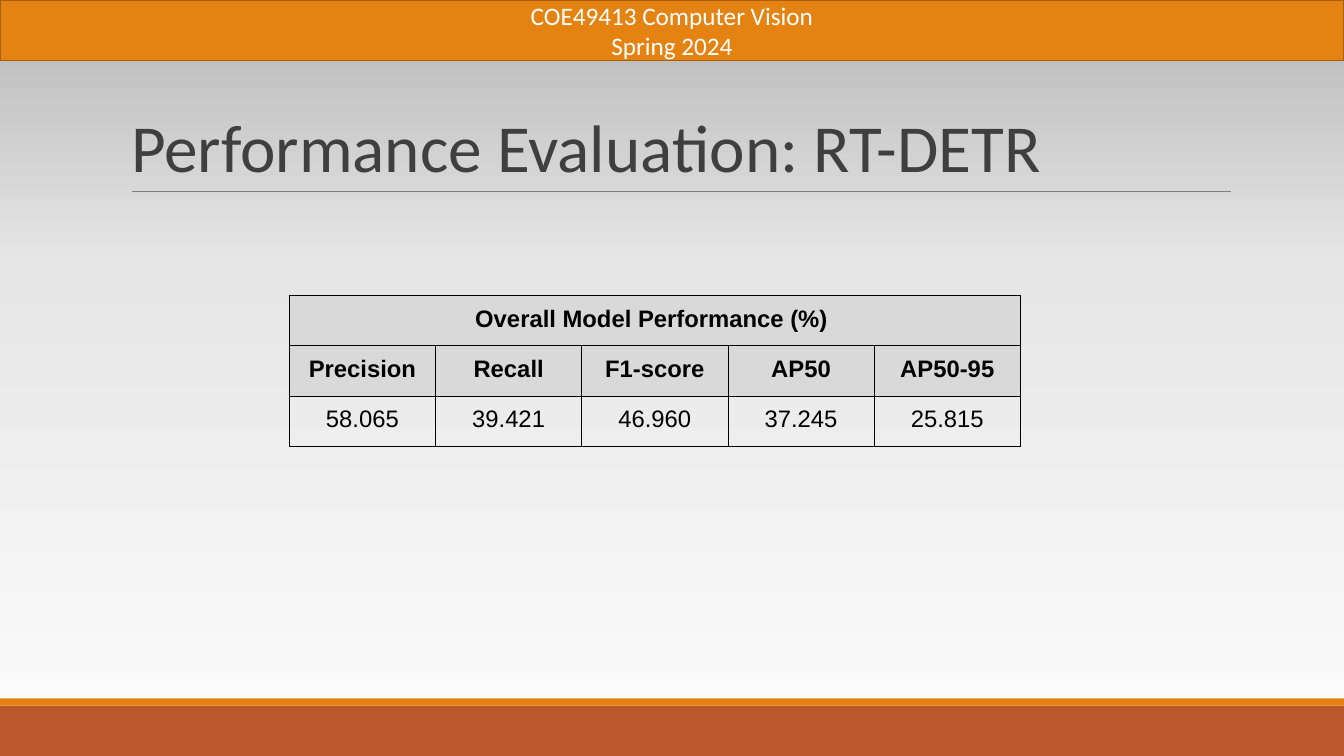
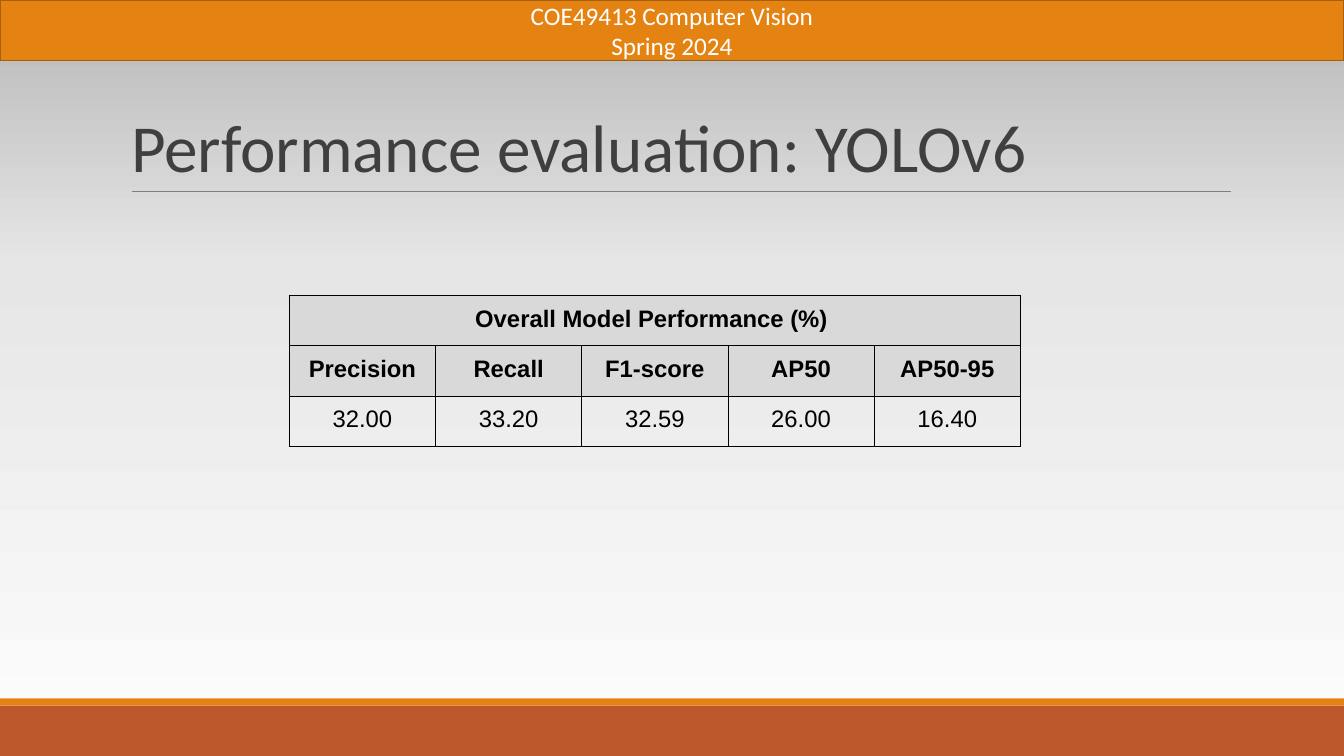
from lxml import etree
from pptx import Presentation
from pptx.dml.color import RGBColor
from pptx.enum.shapes import MSO_CONNECTOR, MSO_SHAPE
from pptx.enum.text import MSO_ANCHOR, MSO_AUTO_SIZE, PP_ALIGN
from pptx.oxml.ns import qn
from pptx.util import Inches, Pt

RECTANGLE = MSO_SHAPE.RECTANGLE
STRAIGHT = MSO_CONNECTOR.STRAIGHT
CENTER, LEFT = PP_ALIGN.CENTER, PP_ALIGN.LEFT
MIDDLE, BOTTOM = MSO_ANCHOR.MIDDLE, MSO_ANCHOR.BOTTOM
NO_AUTOFIT = MSO_AUTO_SIZE.NONE

ORANGE, DARK_ORANGE, RUST = "E48312", "A65F0D", "BD582C"
WHITE, BLACK, HEADER_GRAY = "FFFFFF", "000000", "D9D9D9"
TITLE_GRAY, RULE_GRAY = "3F3F3F", "7F7F7F"
BACKGROUND_STOPS = [(0, "FDFDFD"), (65, "E6E6E6"), (100, "B6B6B6")]
HEADING_FONT, TABLE_FONT = "Calibri", "Arial"
SLIDE_WIDTH, SLIDE_HEIGHT = 13.33, 7.5

COURSE_LINES = ["COE49413 Computer Vision", "Spring 2024"]
TABLE_TITLE = "Overall Model Performance (%) "
METRICS = ["Precision", "Recall", "F1-score", "AP50", "AP50-95"]
RESULTS = [
    ("Performance Evaluation: RT-DETR",
     ["58.065", "39.421", "46.960", "37.245", "25.815"]),
    ("Performance evaluation: YOLOv6",
     ["32.00", "33.20", "32.59", "26.00", "16.40"]),
]


def color(hex_string):
    return RGBColor.from_string(hex_string)


def add_run(paragraph, text, font, size, hex_string, bold=False, align=CENTER):
    paragraph.alignment = align
    run = paragraph.add_run()
    run.text = text
    run.font.name = font
    run.font.size = Pt(size)
    run.font.bold = bold
    run.font.color.rgb = color(hex_string)


def set_background(layout):
    layout.background.fill.gradient()
    gradient = layout.element.find(".//" + qn("a:gradFill"))
    for child in list(gradient):
        gradient.remove(child)
    stops = etree.SubElement(gradient, qn("a:gsLst"))
    for percent, hex_string in BACKGROUND_STOPS:
        stop = etree.SubElement(stops, qn("a:gs"), pos=str(percent * 1000))
        etree.SubElement(stop, qn("a:srgbClr"), val=hex_string)
    etree.SubElement(gradient, qn("a:lin"), ang="16200000", scaled="0")


def add_band(slide, top, height, fill, line=None):
    band = slide.shapes.add_shape(
        RECTANGLE, 0, Inches(top), Inches(SLIDE_WIDTH), Inches(height))
    band.shadow.inherit = False
    band.fill.solid()
    band.fill.fore_color.rgb = color(fill)
    if line:
        band.line.color.rgb = color(line)
        band.line.width = Pt(1.25)
    else:
        band.line.fill.background()
    return band


def add_rule(slide, left, right, top):
    rule = slide.shapes.add_connector(
        STRAIGHT, Inches(left), Inches(top), Inches(right), Inches(top))
    rule.line.color.rgb = color(RULE_GRAY)
    rule.line.width = Pt(0.75)
    etree.SubElement(rule.element.spPr, qn("a:effectLst"))


def add_frame(slide):
    add_band(slide, 7, 0.5, RUST)
    add_band(slide, 6.93, 0.07, ORANGE)
    add_rule(slide, 1.31, 12.21, 1.9)
    header = add_band(slide, 0, 0.6, ORANGE, DARK_ORANGE).text_frame
    header.word_wrap = True
    header.vertical_anchor = MIDDLE
    for index, text in enumerate(COURSE_LINES):
        paragraph = header.add_paragraph() if index else header.paragraphs[0]
        add_run(paragraph, text, HEADING_FONT, 18, WHITE)


def set_title(slide, text):
    title = slide.shapes.title
    title.left, title.top = Inches(1.2), Inches(0.31)
    title.width, title.height = Inches(11), Inches(1.59)
    frame = title.text_frame
    frame.word_wrap = True
    frame.auto_size = NO_AUTOFIT
    frame.vertical_anchor = BOTTOM
    paragraph = frame.paragraphs[0]
    paragraph.line_spacing = 0.85
    add_run(paragraph, text, HEADING_FONT, 48, TITLE_GRAY, align=LEFT)


def set_borders(cell):
    properties = cell._tc.get_or_add_tcPr()
    for side in ("a:lnL", "a:lnR", "a:lnT", "a:lnB"):
        line = etree.SubElement(properties, qn(side), w=str(Pt(0.75)))
        fill = etree.SubElement(line, qn("a:solidFill"))
        etree.SubElement(fill, qn("a:srgbClr"), val=BLACK)


def format_cell(cell, text, is_header):
    set_borders(cell)
    cell.margin_left = cell.margin_right = Inches(0.1)
    cell.margin_top = cell.margin_bottom = Inches(0.1)
    if is_header:
        cell.fill.solid()
        cell.fill.fore_color.rgb = color(HEADER_GRAY)
    else:
        cell.fill.background()
    if text:
        paragraph = cell.text_frame.paragraphs[0]
        add_run(paragraph, text, TABLE_FONT, 17, BLACK, bold=is_header)


def add_metrics_table(slide, values):
    title_row = [TABLE_TITLE] + [""] * (len(METRICS) - 1)
    rows = [title_row, METRICS, values]
    column_width, row_height = Inches(1.45), Inches(0.5)
    table = slide.shapes.add_table(
        len(rows), len(METRICS), Inches(2.87), Inches(2.93),
        column_width * len(METRICS), row_height * len(rows)).table
    table.first_row = table.horz_banding = False
    for column in table.columns:
        column.width = column_width
    for row_index, texts in enumerate(rows):
        table.rows[row_index].height = row_height
        for column_index, text in enumerate(texts):
            format_cell(table.cell(row_index, column_index), text, row_index < 2)
    table.cell(0, 0).merge(table.cell(0, len(METRICS) - 1))


def main():
    presentation = Presentation()
    presentation.slide_width = Inches(SLIDE_WIDTH)
    presentation.slide_height = Inches(SLIDE_HEIGHT)
    title_only = presentation.slide_layouts.get_by_name("Title Only")
    set_background(title_only)
    for title, values in RESULTS:
        slide = presentation.slides.add_slide(title_only)
        add_frame(slide)
        set_title(slide, title)
        add_metrics_table(slide, values)
    presentation.save("out.pptx")


if __name__ == "__main__":
    main()
